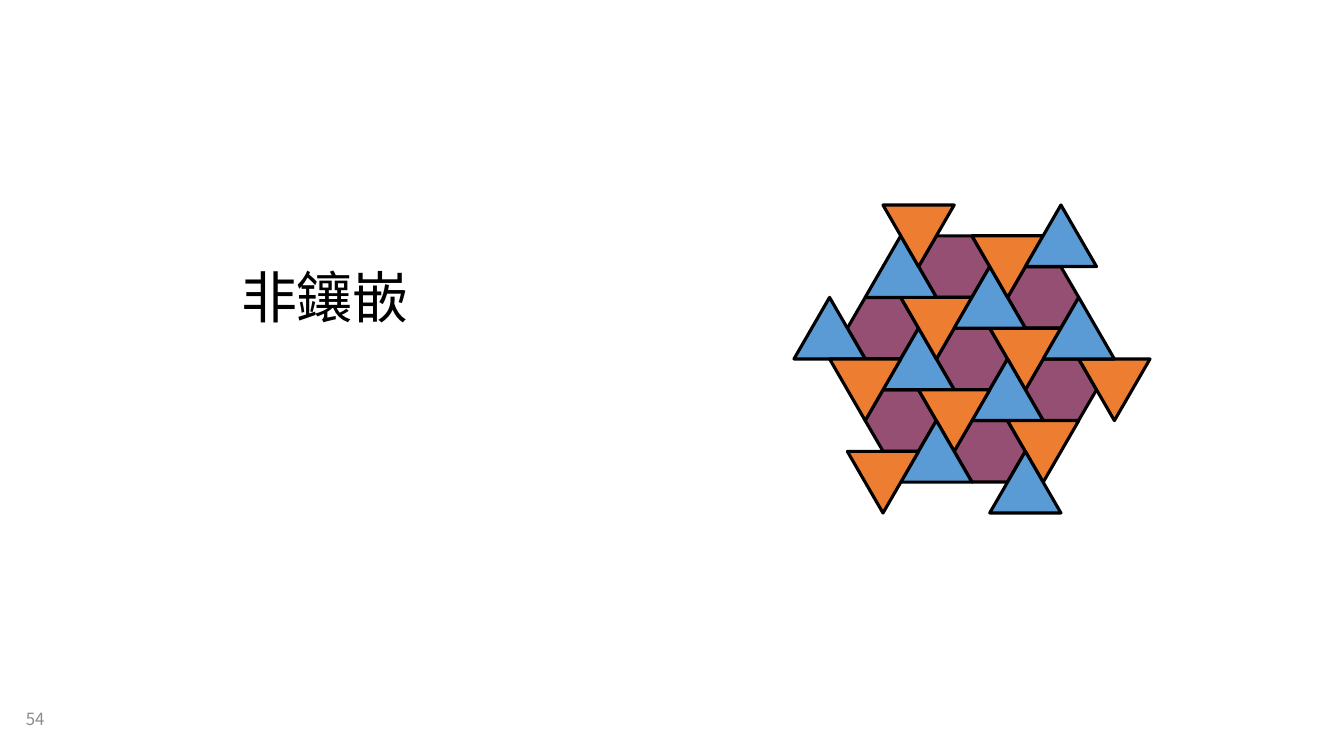
"""Build the slide on a pattern that is not a tessellation."""
from lxml import etree
from pptx import Presentation
from pptx import util as u
from pptx.dml.color import RGBColor
from pptx.enum import shapes, text
from pptx.oxml import ns

EMU_PER_PX = 914400 / 100.8
FONT = "Noto Sans CJK SC"
HEXAGON = shapes.MSO_SHAPE.HEXAGON
TRIANGLE = shapes.MSO_SHAPE.ISOSCELES_TRIANGLE

LEFT, TOP, WIDTH, HEIGHT = 794, 205, 356, 308
COLUMNS, ROWS = 20, 10
HEXAGON_CELLS = [(0, 0), (1, 0), (1, -1), (0, -1), (-1, 0), (-1, 1), (0, 1)]
TRIANGLE_CELLS = [(0, 0), (1, 0), (1, -1), (0, -1), (-1, 0), (0, 1),
                  (2, -1), (1, 1), (2, -2)]


def px(length):
    """Turn pixels into EMU."""
    return u.Emu(round(length * EMU_PER_PX))


def color(value):
    """Turn a hex string into a colour."""
    return RGBColor.from_string(value)


def lattice(column, row, cells):
    """Give the grid points that lie on the slanted lattice around a start."""
    return [(column + 5 * i + j, row + i + 3 * j) for i, j in cells]


def add_text(page, bounds, words, size, fill, frame_format, paragraph_format):
    """Add one line of text in a box."""
    box = page.shapes.add_textbox(*map(px, bounds))
    frame = box.text_frame
    for name, value in frame_format.items():
        setattr(frame, name, value)
    para = frame.paragraphs[0]
    for name, value in paragraph_format.items():
        setattr(para, name, value)
    span = para.add_run()
    span.text = words
    for name, value in {"name": FONT, "size": u.Pt(size)}.items():
        setattr(span.font, name, value)
    span.font.color.rgb = color(fill)
    etree.SubElement(span.font._element, ns.qn("a:ea"), typeface=FONT)


def add_tile(pattern, kind, point, fill, rotation=0):
    """Add one tile, four columns by two rows, centred on a grid point."""
    column_width, row_height = WIDTH / COLUMNS, HEIGHT / ROWS
    column, row = point
    tile = pattern.shapes.add_shape(
        kind, px(LEFT + (column - 2) * column_width),
        px(TOP + (row - 1) * row_height),
        px(4 * column_width), px(2 * row_height))
    tile.rotation = rotation
    tile.shadow.inherit = False
    tile.fill.solid()
    tile.fill.fore_color.rgb = color(fill)
    tile.line.color.rgb = color("000000")
    tile.line.width = u.Pt(2.25)
    if kind == HEXAGON:
        tile.adjustments[0] = 0.29
        tile.adjustments[1] = 1.15


def add_pattern(page):
    """Add hexagons, then upright triangles and their half-turn images."""
    pattern = page.shapes.add_group_shape()
    for point in lattice(COLUMNS / 2, ROWS / 2, HEXAGON_CELLS):
        add_tile(pattern, HEXAGON, point, "954F72")
    for column, row in lattice(7, 5, TRIANGLE_CELLS):
        add_tile(pattern, TRIANGLE, (column, row), "5B9BD5")
        add_tile(pattern, TRIANGLE, (COLUMNS - column, ROWS - row), "ED7D31", 180)


def main():
    """Build and save the deck."""
    deck = Presentation()
    deck.slide_width, deck.slide_height = px(1344), px(756)
    page = deck.slides.add_slide(deck.slide_layouts[6])
    add_text(page, (57, 124, 536, 212), "非鑲嵌", 40, "000000",
             {"word_wrap": True, "vertical_anchor": text.MSO_ANCHOR.BOTTOM},
             {"alignment": text.PP_ALIGN.CENTER, "line_spacing": 0.9})
    add_text(page, (16, 699, 68, 39), "54", 12, "8C8C8C",
             {"word_wrap": True, "vertical_anchor": text.MSO_ANCHOR.MIDDLE},
             {"alignment": text.PP_ALIGN.LEFT})
    add_pattern(page)
    deck.save("out.pptx")


if __name__ == "__main__":
    main()
